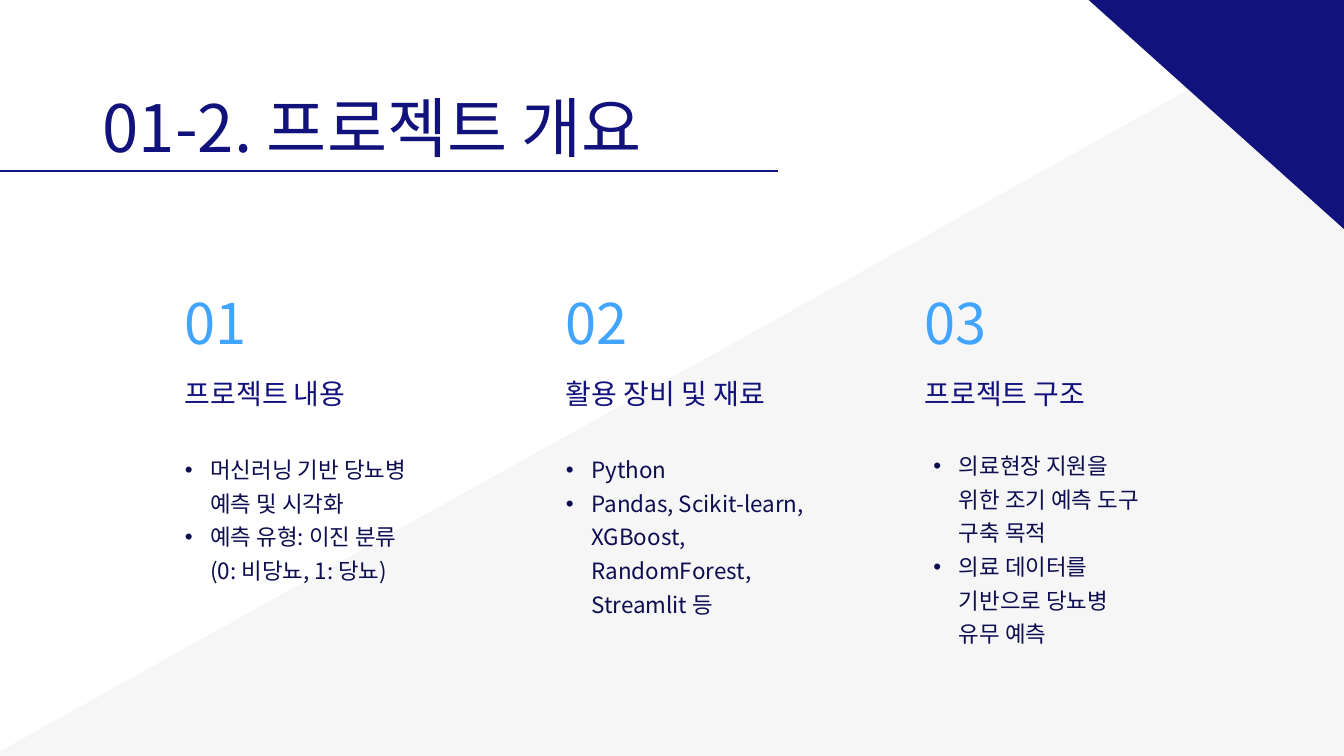
from lxml import etree
from pptx import Presentation
from pptx import util as u
from pptx.dml.color import RGBColor
from pptx.enum import shapes, text
from pptx.oxml.ns import qn

PX = 9144
WIDTH, HEIGHT = 2000, 1125
FONT = "Noto Sans CJK KR"
COLORS = {
    "background": "FFFFFF",
    "band": "F6F6F6",
    "navy": "12127D",
    "number": "41A4FF",
    "body": "0D0D50",
}
COLUMNS = [
    ("01", "프로젝트 내용", (275, 429, 327), (0, 240, 378, 199),
     ["머신러닝 기반 당뇨병 예측 및 시각화", "예측 유형: 이진 분류\n(0: 비당뇨, 1: 당뇨)"]),
    ("02", "활용 장비 및 재료", (842, 429, 358), (0, 240, 378, 249),
     ["Python", "Pandas, Scikit-learn, XGBoost, RandomForest, Streamlit 등"]),
    ("03", "프로젝트 구조", (1376, 429, 516), (13, 234, 327, 300),
     ["의료현장 지원을 위한 조기 예측 도구 구축 목적",
      "의료 데이터를 기반으로 당뇨병 유무 예측"]),
]


def px(value):
    return u.Emu(value * PX)


def color(name):
    return RGBColor.from_string(COLORS[name])


def add_run(paragraph, words, size, color_name):
    run = paragraph.add_run()
    run.text = words
    run.font.size = u.Pt(size)
    run.font.name = FONT
    run.font.color.rgb = color(color_name)
    run.font._element.set("kern", "0")
    latin = run.font._element.find(qn("a:latin"))
    east_asian = etree.Element(qn("a:ea"), typeface=FONT)
    latin.addnext(east_asian)


def add_bullet(paragraph):
    properties = paragraph._p.get_or_add_pPr()
    properties.set("marL", str(px(38)))
    properties.set("indent", str(px(-38)))
    etree.SubElement(properties, qn("a:buFont"), typeface="Arial")
    etree.SubElement(properties, qn("a:buChar"), char="•")


def write(shape, paragraphs, size, color_name, line_spacing, bullets=False):
    frame = shape.text_frame
    frame.word_wrap = True
    frame.auto_size = text.MSO_AUTO_SIZE.SHAPE_TO_FIT_TEXT
    frame.vertical_anchor = text.MSO_ANCHOR.TOP
    frame.margin_left = frame.margin_right = 0
    frame.margin_top = frame.margin_bottom = 0
    for index, words in enumerate(paragraphs):
        paragraph = frame.add_paragraph() if index else frame.paragraphs[0]
        if bullets:
            add_bullet(paragraph)
        paragraph.alignment = text.PP_ALIGN.LEFT
        paragraph.line_spacing = line_spacing
        paragraph.space_before = u.Pt(0)
        for number, line in enumerate(words.split("\n")):
            if number:
                paragraph.add_line_break()
            add_run(paragraph, line, size, color_name)


def add_text(slide, box, *content, **options):
    write(slide.shapes.add_textbox(*map(px, box)), *content, **options)


def add_polygon(slide, points, color_name):
    builder = slide.shapes.build_freeform(*points[0], scale=PX)
    builder.add_line_segments(points[1:], close=True)
    shape = builder.convert_to_shape()
    shape.shadow.inherit = False
    shape.fill.solid()
    shape.fill.fore_color.rgb = color(color_name)
    shape.line.fill.background()


def add_backdrop(slide, width):
    slide.background.fill.solid()
    slide.background.fill.fore_color.rgb = color("background")
    add_polygon(slide, [(691, 2524), (-70, 1157), (width + 61, -29),
                        (width + 821, 1337)], "band")
    add_polygon(slide, [(width + 420, -32), (width + 47, 383), (width - 420, -36),
                        (width - 47, -451)], "navy")


def add_header(slide, left, top, width, height):
    title = slide.shapes.title
    title.left, title.top = px(left), px(top)
    title.width, title.height = px(width), px(height)
    write(title, ["01-2. 프로젝트 개요"], 70, "navy", u.Pt(96))
    rule_top = px(top + 142)
    rule = slide.shapes.add_connector(
        shapes.MSO_CONNECTOR.STRAIGHT, px(left - 336), rule_top,
        px(left + width), rule_top)
    rule.line.color.rgb = color("navy")
    rule.line.width = u.Pt(2.25)
    etree.SubElement(rule._element.spPr, qn("a:effectLst"))


def add_column(slide, number, heading, box, body_box, items):
    left, top, width = box
    body_left, body_top, body_width, body_height = body_box
    add_text(slide, (left, top, 325, 102), [number], 60, "number", u.Pt(72))
    add_text(slide, (left, top + 141, width, 42), [heading], 30, "navy", u.Pt(28.8))
    add_text(slide, (left + body_left, top + body_top, body_width, body_height),
             items, 24, "body", 1.25, bullets=True)


def main():
    presentation = Presentation()
    presentation.slide_width, presentation.slide_height = px(WIDTH), px(HEIGHT)
    slide = presentation.slides.add_slide(presentation.slide_layouts[5])
    add_backdrop(slide, WIDTH)
    add_header(slide, 153, 113, 1005, 128)
    for column in COLUMNS:
        add_column(slide, *column)
    presentation.save("out.pptx")


if __name__ == "__main__":
    main()
